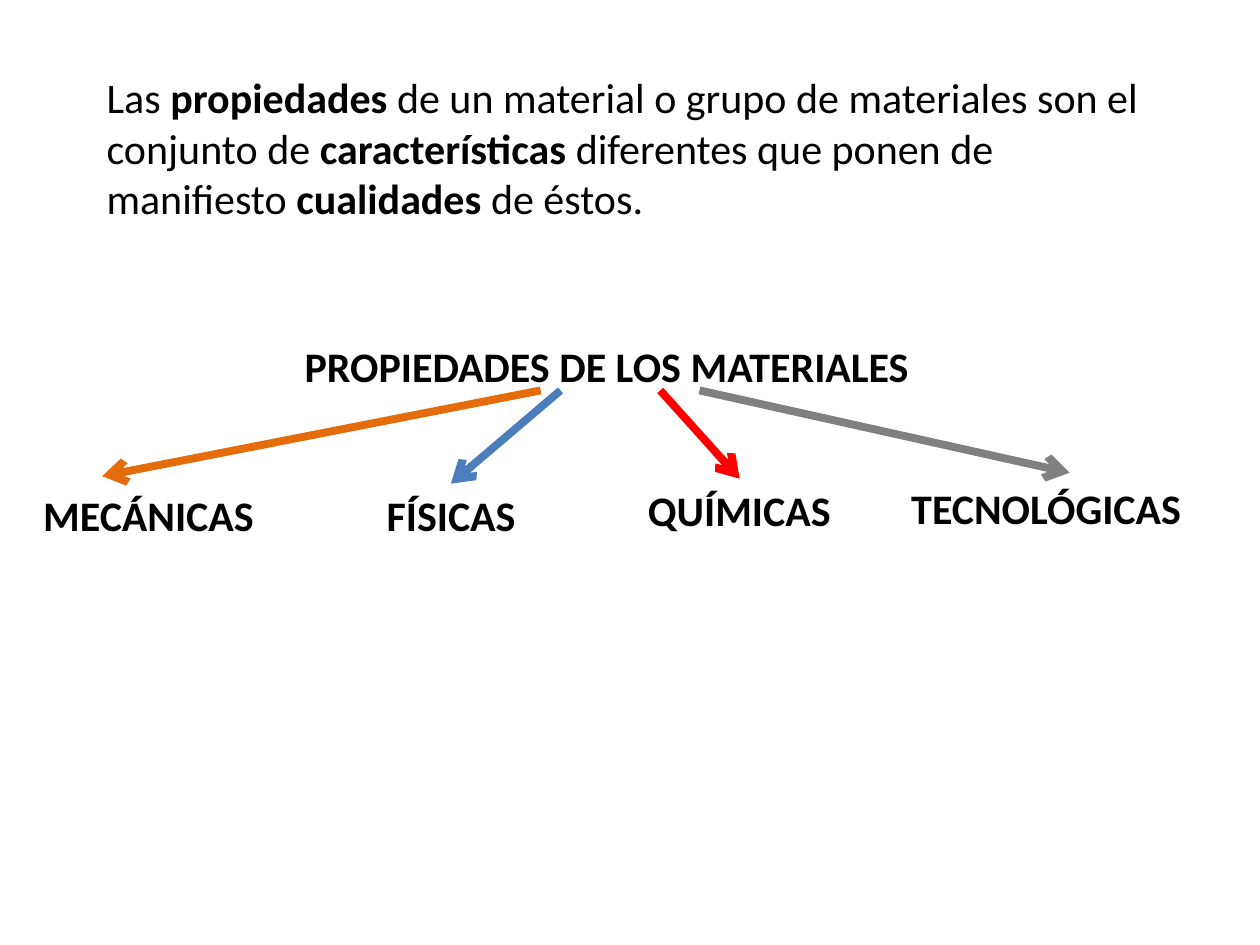
from lxml import etree
from pptx import Presentation
from pptx.dml.color import RGBColor
from pptx.enum.shapes import MSO_CONNECTOR
from pptx.enum.text import MSO_AUTO_SIZE, PP_ALIGN
from pptx.oxml.ns import qn
from pptx.util import Cm, Pt

STRAIGHT = MSO_CONNECTOR.STRAIGHT
GROW = MSO_AUTO_SIZE.SHAPE_TO_FIT_TEXT
LEFT, CENTER, JUSTIFY = PP_ALIGN.LEFT, PP_ALIGN.CENTER, PP_ALIGN.JUSTIFY

BLACK = RGBColor(0x00, 0x00, 0x00)
ORANGE = RGBColor(0xE4, 0x6C, 0x0A)
BLUE = RGBColor(0x4B, 0x7E, 0xBC)
GRAY = RGBColor(0x80, 0x80, 0x80)
RED = RGBColor(0xFF, 0x00, 0x00)

ROW_H = 1.27
ARROW_TOP = 7.87

DEFINITION = [
    ("Las ", False),
    ("propiedades", True),
    (" de un material o grupo de materiales son el conjunto de ", False),
    ("características", True),
    (" diferentes que ponen de manifiesto ", False),
    ("cualidades", True),
    (" de éstos.", False),
]

CATEGORIES = [
    ("MECÁNICAS", -1.6, 9.75, 9.19),
    ("FÍSICAS", 4.5, 9.75, 9.19),
    ("QUÍMICAS", 10.31, 9.65, 9.19),
    ("TECNOLÓGICAS", 17.09, 9.6, 8),
]

ARROWS = [
    (10.9, 2.06, 9.6, ORANGE),
    (11.3, 9.09, 9.75, BLUE),
    (14.1, 21.56, 9.53, GRAY),
    (13.31, 14.91, 9.65, RED),
]


def add_run(p, text, size=24, bold=False, color=BLACK, font="Calibri"):
    r = p.add_run()
    r.text = text
    r.font.name = font
    r.font.size = Pt(size)
    r.font.bold = bold
    r.font.color.rgb = color


def add_text(s, runs, left, top, width, height=ROW_H, align=LEFT):
    sp = s.shapes.add_textbox(Cm(left), Cm(top), Cm(width), Cm(height))
    tf = sp.text_frame
    tf.word_wrap = True
    tf.auto_size = GROW
    p = tf.paragraphs[0]
    p.alignment = align
    for text, bold in runs:
        add_run(p, text, bold=bold)


def add_arrow(s, x1, y1, x2, y2, color):
    sp = s.shapes.add_connector(STRAIGHT, Cm(x1), Cm(y1), Cm(x2), Cm(y2))
    sp.line.color.rgb = color
    sp.line.width = Pt(4.5)
    etree.SubElement(sp.line._get_or_add_ln(), qn("a:tailEnd"), type="arrow")
    etree.SubElement(sp._element.spPr, qn("a:effectLst"))


def main():
    prs = Presentation()
    prs.slide_width, prs.slide_height = Cm(25.4), Cm(19.05)
    s = prs.slides.add_slide(prs.slide_layouts[6])

    add_text(s, DEFINITION, 1.9, 1.32, 22.2, 3.33)
    add_text(s, [("PROPIEDADES DE LOS MATERIALES", True)],
             5.89, 6.73, 13.79, align=JUSTIFY)
    for name, left, top, width in CATEGORIES:
        add_text(s, [(name, True)], left, top, width, align=CENTER)
    for x1, x2, y2, color in ARROWS:
        add_arrow(s, x1, ARROW_TOP, x2, y2, color)

    prs.save("out.pptx")


if __name__ == "__main__":
    main()
